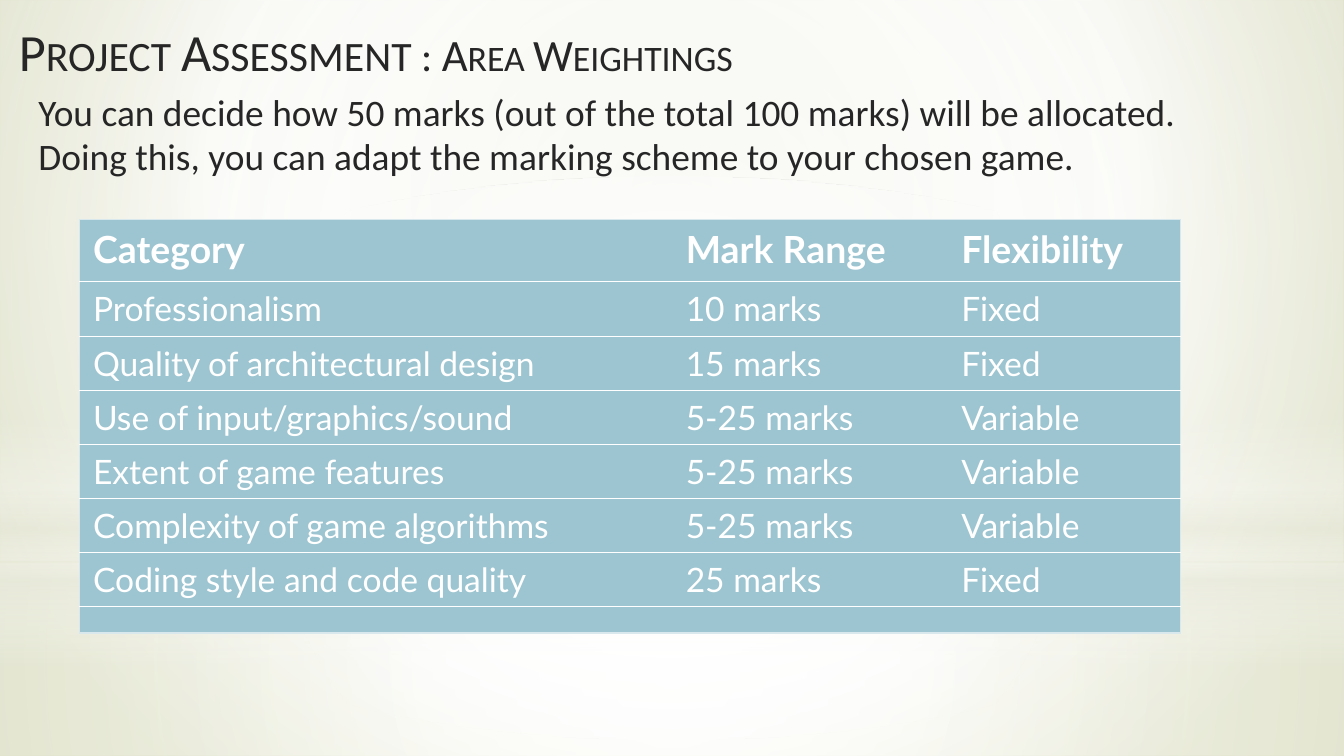
"""Build the project assessment slide with its table of area weightings."""
from lxml.etree import SubElement
from pptx import Presentation
from pptx.dml.color import RGBColor
from pptx.enum.shapes import MSO_SHAPE
from pptx.enum.text import MSO_ANCHOR
from pptx.oxml import parse_xml
from pptx.oxml.ns import nsdecls, qn
from pptx.util import Pt

WHITE = RGBColor(0xFF, 0xFF, 0xFF)
CREAM = RGBColor(0xEA, 0xEB, 0xDE)
SAGE = RGBColor(0xE3, 0xE5, 0xD1)
OLIVE = RGBColor(0xCC, 0xD0, 0x9F)
INK = RGBColor(0x26, 0x26, 0x26)
TEAL = RGBColor(0x9C, 0xC5, 0xD1)
PALE_TEAL = RGBColor(0xD9, 0xE8, 0xEC)

OUTER = (PALE_TEAL, 0.75)
INNER = (WHITE, 0.5)
CENTRE = (50, 50, 50, 50)
HANGING = Pt(27)

WEIGHTINGS = [
    ("Category", "Mark Range", "Flexibility"),
    ("Professionalism", "10 marks", "Fixed"),
    ("Quality of architectural design", "15 marks", "Fixed"),
    ("Use of input/graphics/sound", "5-25 marks", "Variable"),
    ("Extent of game features", "5-25 marks", "Variable"),
    ("Complexity of game algorithms", "5-25 marks", "Variable"),
    ("Coding style and code quality", "25 marks", "Fixed"),
    ("", "", ""),
]
COLUMN_WIDTHS = [317.5, 147.6, 124.6]
ROW_HEIGHTS = [33.5] + [29] * 6 + [14.2]

GLOWS = [
    (MSO_SHAPE.RECTANGLE, 301.5, 103.5,
     [(0, WHITE, 91), (37, WHITE, 76), (100, CREAM, 79)], CENTRE),
    (MSO_SHAPE.RECTANGLE, 0, 301.5,
     [(0, WHITE, 89), (48, WHITE, 62), (100, CREAM, 79)], CENTRE),
    (MSO_SHAPE.RECTANGLE, 222.5, 135,
     [(0, WHITE, 0), (29, WHITE, 30), (45, CREAM, 40),
      (55, WHITE, 26), (65, CREAM, 60), (100, WHITE, 0)], None),
    (MSO_SHAPE.OVAL, 94.5, 301.5, [(0, WHITE, 100), (56, WHITE, 0)], CENTRE),
]


def set_gradient(owner, fill, stops, focus):
    """Fill with a circular gradient around focus, or a vertical one without it."""
    fill.gradient()
    gradient = next(owner.element.iter(qn("a:gradFill")))
    for child in list(gradient):
        gradient.remove(child)
    stop_list = SubElement(gradient, qn("a:gsLst"))
    for position, color, opacity in stops:
        stop = SubElement(stop_list, qn("a:gs"), pos=str(position * 1000))
        tint = SubElement(stop, qn("a:srgbClr"), val=str(color))
        if opacity < 100:
            SubElement(tint, qn("a:alpha"), val=str(opacity * 1000))
    if focus:
        circle = SubElement(gradient, qn("a:path"), path="circle")
        edges = {side: str(inset * 1000) for side, inset in zip("ltrb", focus)}
        SubElement(circle, qn("a:fillToRect"), **edges)
    else:
        SubElement(gradient, qn("a:lin"), ang="5400000", scaled="0")


def add_glow(slide, outline, top, height, stops, focus):
    """Add a full-width translucent background layer."""
    glow = slide.shapes.add_shape(outline, 0, Pt(top), Pt(720), Pt(height))
    glow.shadow.inherit = False
    glow.line.fill.background()
    set_gradient(glow, glow.fill, stops, focus)


def add_text(slide, box, pieces, anchor=MSO_ANCHOR.TOP, small_caps=False):
    """Add a text box holding one paragraph of (text, size) pieces."""
    frame = slide.shapes.add_textbox(*map(Pt, box)).text_frame
    frame.word_wrap = True
    frame.vertical_anchor = anchor
    for text, size in pieces:
        run = frame.paragraphs[0].add_run()
        run.text = text
        run.font.name = "Calibri"
        run.font.size = Pt(size)
        run.font.color.rgb = INK
        if small_caps:
            run.font.element.set("cap", "small") if hasattr(run.font, "element") else \
                run._r.get_or_add_rPr().set("cap", "small")


def set_borders(cell, borders):
    """Draw the left, right, top and bottom borders of a cell."""
    properties = cell._tc.get_or_add_tcPr()
    for index, (side, border) in enumerate(zip("LRTB", borders)):
        if border:
            color, width = border
            line = parse_xml(
                f'<a:ln{side} {nsdecls("a")} w="{Pt(width)}"><a:solidFill>'
                f'<a:srgbClr val="{color}"/></a:solidFill></a:ln{side}>')
        else:
            line = parse_xml(f'<a:ln{side} {nsdecls("a")} w="0"><a:noFill/></a:ln{side}>')
        properties.insert(index, line)


def fill_cell(cell, text, header):
    """Set the fill and the hanging text of a cell."""
    cell.fill.solid()
    cell.fill.fore_color.rgb = TEAL
    cell.vertical_anchor = MSO_ANCHOR.TOP if header else MSO_ANCHOR.MIDDLE
    cell.text_frame.text = text
    paragraph = cell.text_frame.paragraphs[0]
    if not text:
        SubElement(paragraph._p, qn("a:endParaRPr"), sz="400")
        return
    indents = paragraph._p.get_or_add_pPr()
    indents.set("marL", str(HANGING))
    indents.set("indent", str(-HANGING))
    font = paragraph.runs[0].font
    font.name = "Lato"
    font.size = Pt(20 if header else 18)
    font.bold = header
    font.color.rgb = WHITE


def add_weightings(slide):
    """Add the table of mark ranges."""
    rows, columns = len(WEIGHTINGS), len(COLUMN_WIDTHS)
    table = slide.shapes.add_table(
        rows, columns, Pt(42.7), Pt(117.5),
        Pt(sum(COLUMN_WIDTHS)), Pt(sum(ROW_HEIGHTS))).table
    table.first_row = table.horz_banding = False
    for column, width in zip(table.columns, COLUMN_WIDTHS):
        column.width = Pt(width)
    for r, (height, texts) in enumerate(zip(ROW_HEIGHTS, WEIGHTINGS)):
        table.rows[r].height = Pt(height)
        for c, text in enumerate(texts):
            cell = table.cell(r, c)
            fill_cell(cell, text, header=r == 0)
            set_borders(cell, (
                OUTER if c == 0 else None,
                OUTER if c == columns - 1 else None,
                OUTER if r == 0 else INNER,
                OUTER if r == rows - 1 else INNER))


def main():
    """Build and save the slide."""
    deck = Presentation()
    deck.slide_width, deck.slide_height = Pt(720), Pt(405)
    slide = deck.slides.add_slide(deck.slide_layouts[6])
    set_gradient(slide, slide.background.fill,
                 [(0, SAGE, 100), (60, WHITE, 100), (100, OLIVE, 100)],
                 (20, 10, 20, 60))
    for glow in GLOWS:
        add_glow(slide, *glow)
    add_text(slide, (3, 4.5, 306, 45), [("Project Assessment", 28)],
             MSO_ANCHOR.MIDDLE, small_caps=True)
    add_weightings(slide)
    add_text(slide, (218.5, 4.5, 306, 45), [(": ", 28), ("Area Weightings", 24)],
             MSO_ANCHOR.MIDDLE, small_caps=True)
    add_text(slide, (13.5, 44, 647.5, 55.7), [(
        "You can decide how 50 marks (out of the total 100 marks) will be allocated. "
        "Doing this, you can adapt the marking scheme to your chosen game.", 20)])
    deck.save("out.pptx")


if __name__ == "__main__":
    main()
